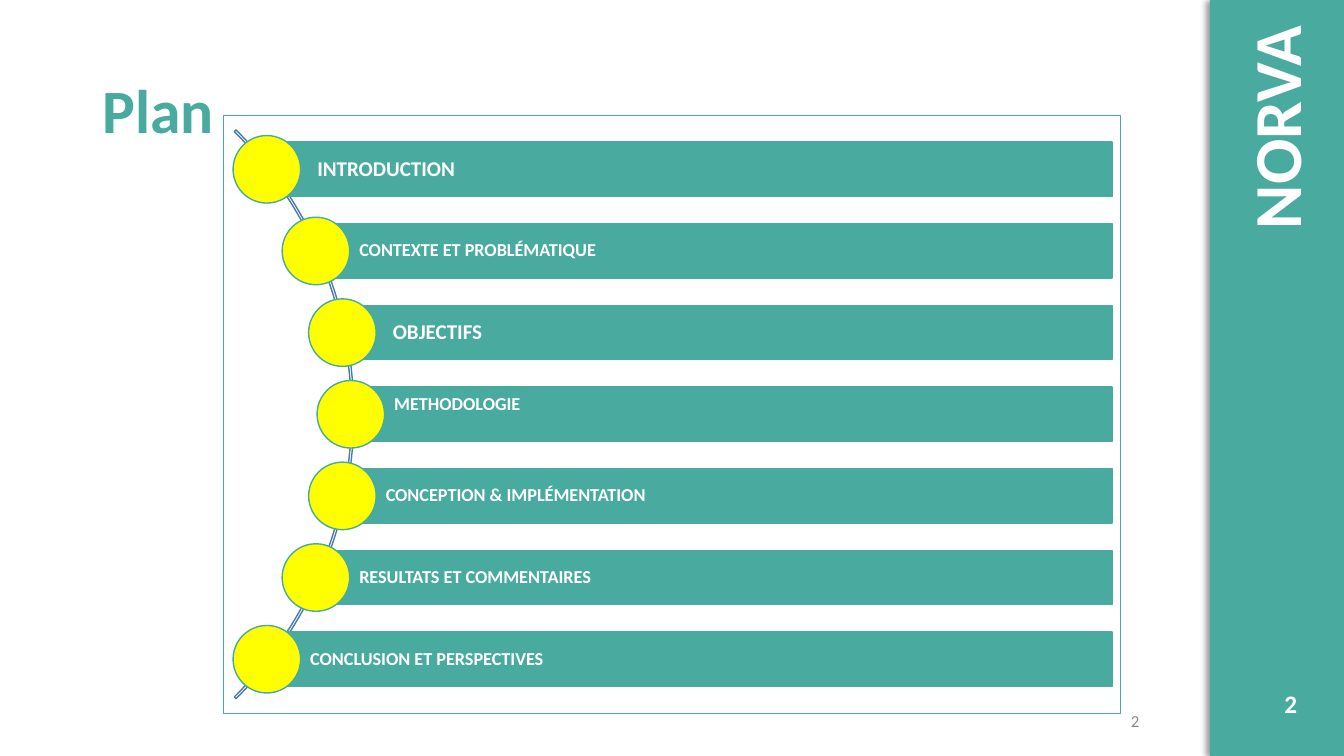
from lxml import etree
from math import sqrt
from pptx import Presentation
from pptx.dml.color import RGBColor
from pptx.enum.shapes import MSO_SHAPE
from pptx.enum.text import MSO_ANCHOR, PP_ALIGN
from pptx.oxml import parse_xml
from pptx.util import Inches, Pt

RECT, OVAL, ARC = MSO_SHAPE.RECTANGLE, MSO_SHAPE.OVAL, MSO_SHAPE.BLOCK_ARC
TOP, MIDDLE = MSO_ANCHOR.TOP, MSO_ANCHOR.MIDDLE
LEFT, RIGHT = PP_ALIGN.LEFT, PP_ALIGN.RIGHT

TEAL = RGBColor(0x49, 0xAA, 0xA0)
BLUE = RGBColor(0x49, 0x7C, 0xAB)
YELLOW = RGBColor(0xFF, 0xFF, 0x00)
WHITE = RGBColor(0xFF, 0xFF, 0xFF)
GREY = RGBColor(0x8C, 0x8C, 0x8C)

# Text, size, left inset, bottom inset
ITEMS = [
    ("INTRODUCTION", 15, 0.5, 0.04),
    ("CONTEXTE ET PROBLÉMATIQUE", 13, 0.43, 0.04),
    ("OBJECTIFS", 15, 0.5, 0.04),
    ("METHODOLOGIE", 13, 0.43, 0.24),
    ("CONCEPTION & IMPLÉMENTATION", 13, 0.43, 0.04),
    ("RESULTATS ET COMMENTAIRES", 13, 0.43, 0.04),
    ("CONCLUSION ET PERSPECTIVES", 13, 0.43, 0.04),
]
ARC_X, ARC_Y, ARC_SIZE = -0.48, 4.11, 7.98
BULLET_RADIUS = 3.96
ROW_STEP, BAR_HEIGHT, BAR_RIGHT, DOT = 0.81, 0.54, 11.03, 0.67


def add_shape(slide, kind, x, y, w, h, fill=None, line=None, width=1):
    s = slide.shapes.add_shape(kind, Inches(x), Inches(y), Inches(w), Inches(h))
    s.shadow.inherit = False
    if fill is None:
        s.fill.background()
    else:
        s.fill.solid()
        s.fill.fore_color.rgb = fill
    if line is None:
        s.line.fill.background()
    else:
        s.line.color.rgb = line
        s.line.width = Pt(width)
    return s


def write(s, text, size, color, bold=True, anchor=TOP, align=LEFT, wrap=True):
    tf = s.text_frame
    tf.text = text
    tf.word_wrap = wrap
    tf.vertical_anchor = anchor
    p = tf.paragraphs[0]
    p.alignment = align
    font = p.runs[0].font
    font.name, font.size, font.bold = "Calibri", Pt(size), bold
    font.color.rgb = color


def add_text(slide, x, y, w, h, text, size, color, **style):
    s = slide.shapes.add_textbox(Inches(x), Inches(y), Inches(w), Inches(h))
    write(s, text, size, color, **style)
    return s


def add_side_band(slide):
    """Draw the teal band with a soft shadow cast to the left."""
    band = add_shape(slide, RECT, 12, 0, 1.33, 7.5, TEAL)
    effects = band._element.spPr.find(
        "{http://schemas.openxmlformats.org/drawingml/2006/main}effectLst")
    shadow = parse_xml(
        '<a:outerShdw xmlns:a="http://schemas.openxmlformats.org/drawingml/2006/main"'
        f' blurRad="{Pt(4)}" dist="{Pt(3)}" dir="10800000" rotWithShape="0">'
        '<a:srgbClr val="000000"><a:alpha val="40000"/></a:srgbClr></a:outerShdw>')
    effects.append(shadow)

    name = add_text(slide, 11.48, 0.75, 2.33, 0.91, "NORVA", 48, WHITE)
    name.rotation = 270


def add_arc(slide):
    arc = add_shape(slide, ARC, ARC_X - ARC_SIZE / 2, ARC_Y - ARC_SIZE / 2,
                    ARC_SIZE, ARC_SIZE, line=BLUE)
    for i, value in enumerate((189, 27, 0.003)):
        arc.adjustments[i] = value


def add_item(slide, row, text, size, left_inset, bottom_inset):
    """Draw one bar, with its dot centred on the arc."""
    dy = (row - len(ITEMS) // 2) * ROW_STEP
    x, y = ARC_X + sqrt(BULLET_RADIUS ** 2 - dy ** 2), ARC_Y + dy
    bar = add_shape(slide, RECT, x, y - BAR_HEIGHT / 2, BAR_RIGHT - x, BAR_HEIGHT,
                    TEAL, TEAL)
    write(bar, text, size, WHITE, anchor=MIDDLE)
    tf = bar.text_frame
    tf.margin_left, tf.margin_bottom = Inches(left_inset), Inches(bottom_inset)
    tf.margin_top = tf.margin_right = Inches(0.04)
    tf.paragraphs[0].line_spacing = 0.9
    add_shape(slide, OVAL, x - DOT / 2, y - DOT / 2, DOT, DOT, YELLOW, TEAL)


def main():
    prs = Presentation()
    prs.slide_width, prs.slide_height = Inches(13.33), Inches(7.5)
    slide = prs.slides.add_slide(prs.slide_layouts[6])

    add_side_band(slide)
    title = add_text(slide, 0.92, 0.4, 10.49, 1.45, "Plan", 44, TEAL, anchor=MIDDLE)
    title.text_frame.paragraphs[0].line_spacing = 0.9
    add_text(slide, 12.64, 6.78, 0.33, 0.4, "2", 18, WHITE, wrap=False)

    add_shape(slide, RECT, 2.22, 1.15, 8.89, 5.93, line=TEAL, width=0.75)
    add_arc(slide)
    for row, item in enumerate(ITEMS):
        add_item(slide, row, *item)

    add_text(slide, 8.65, 6.95, 2.75, 0.4, "2", 12, GREY, bold=False,
             anchor=MIDDLE, align=RIGHT)
    prs.save("out.pptx")


if __name__ == "__main__":
    main()
